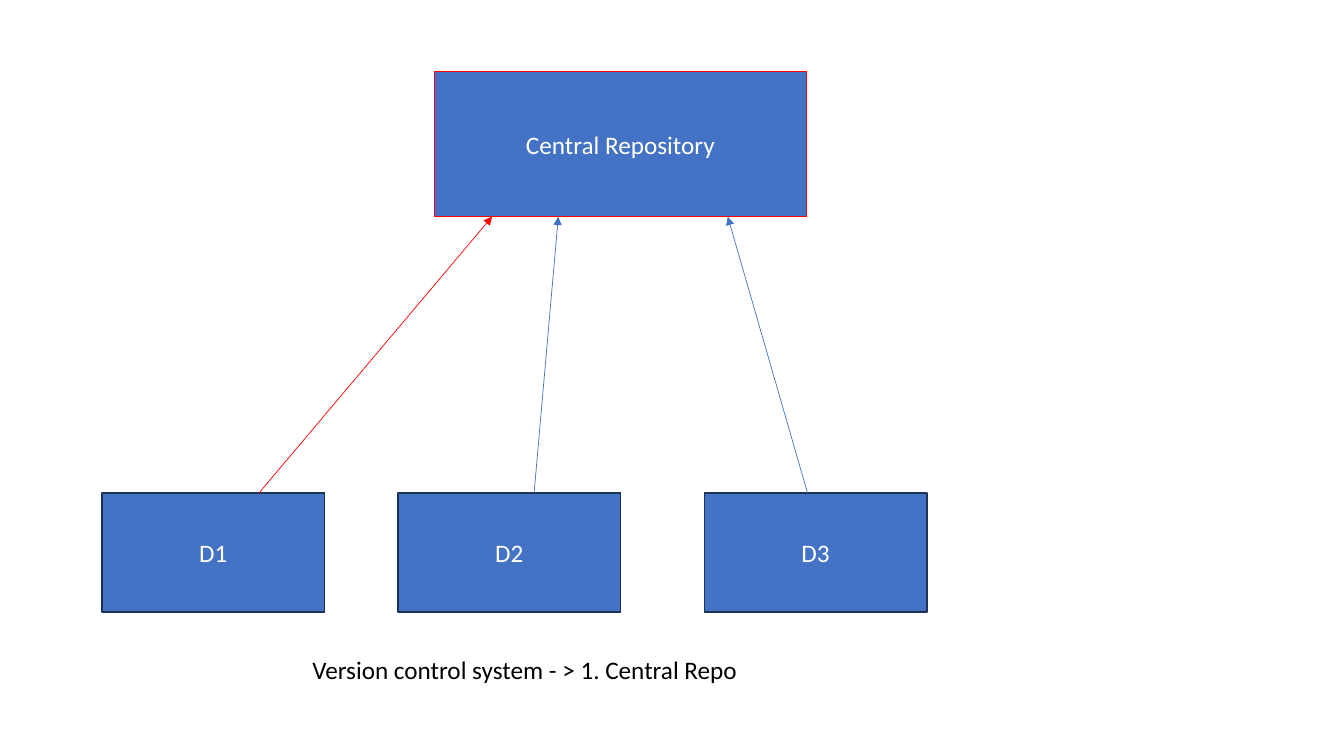
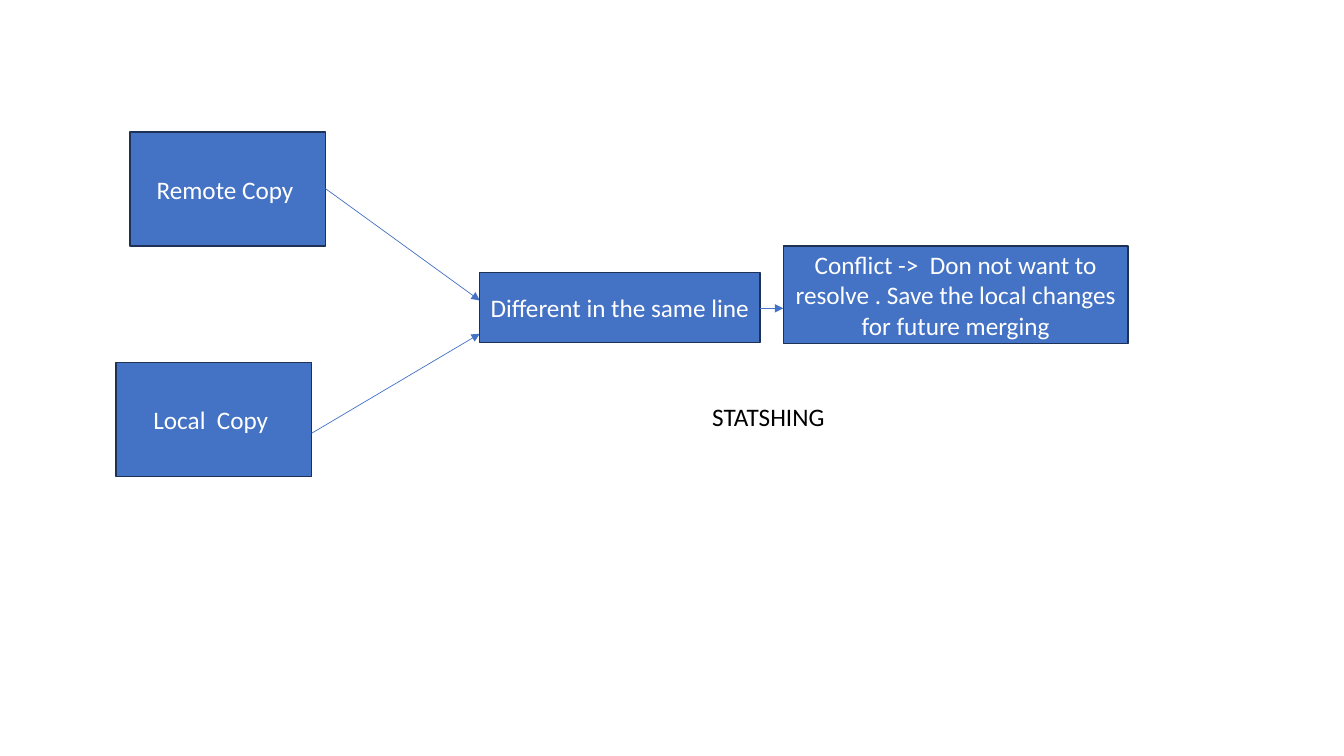
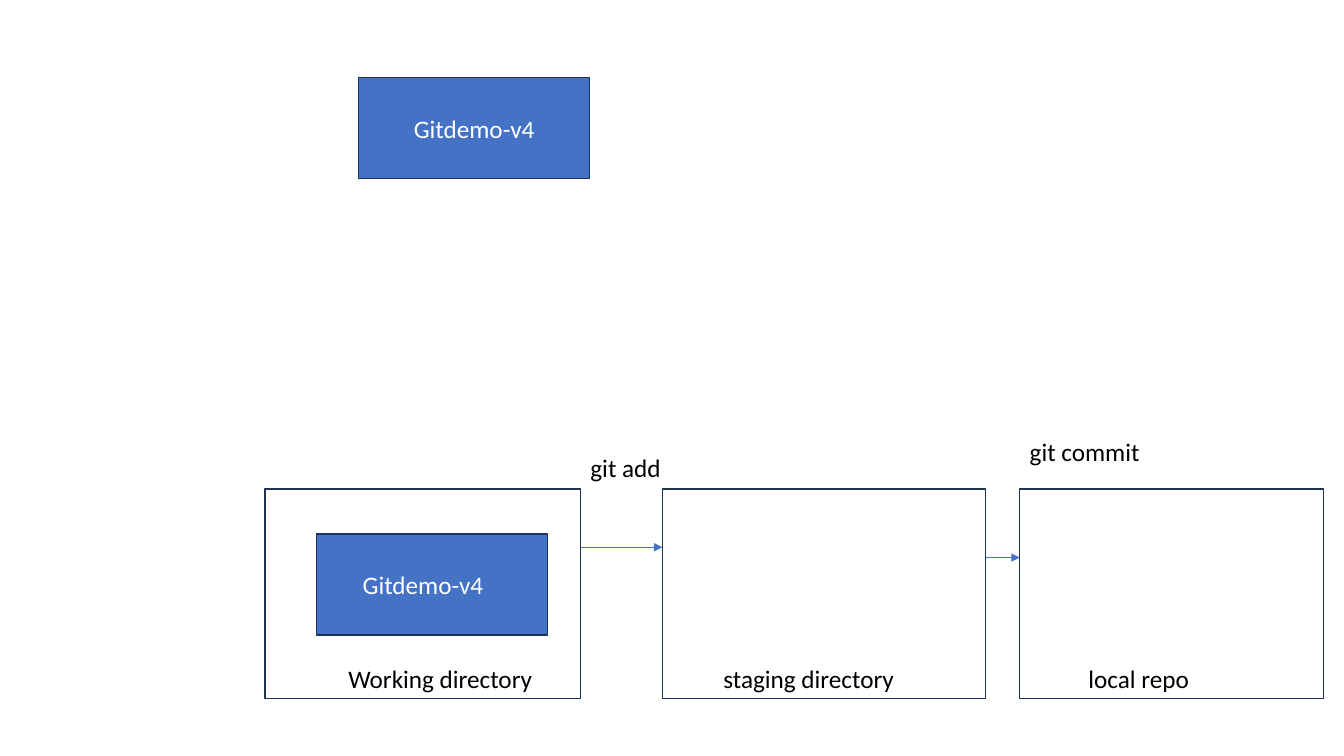
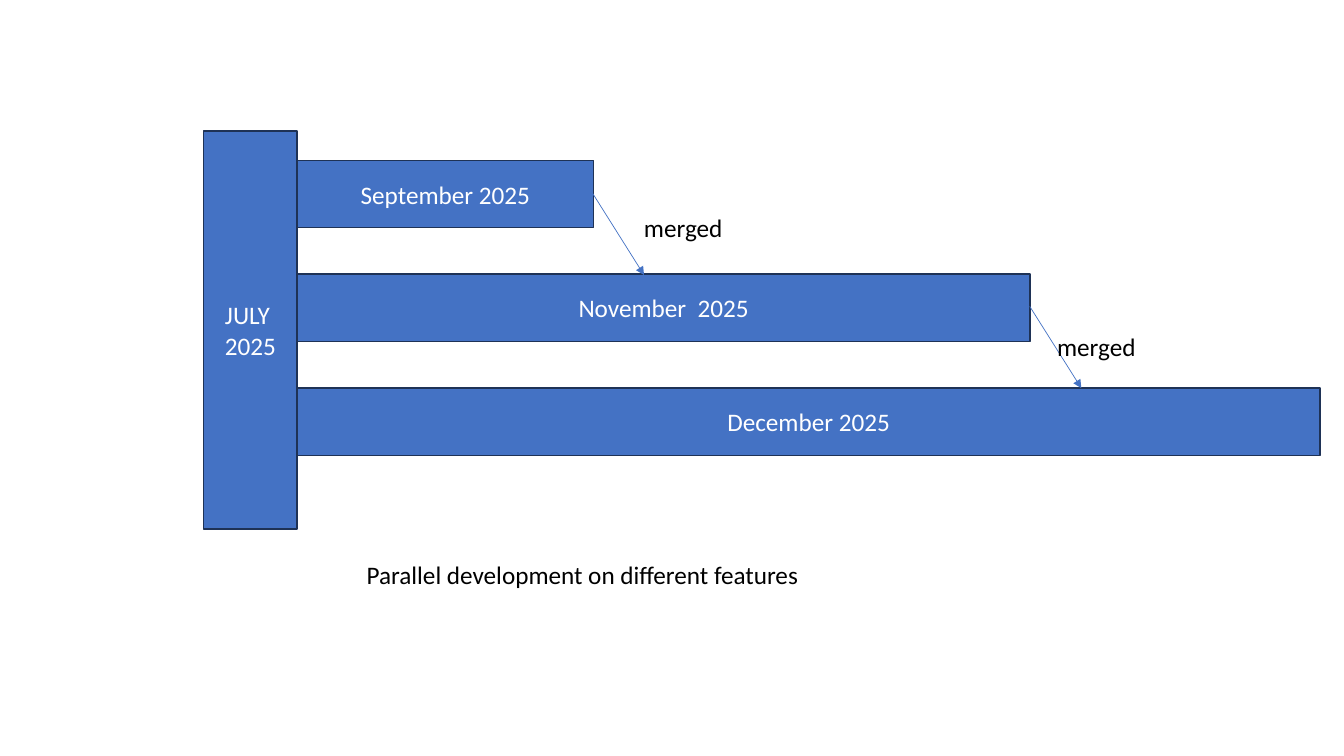
"""Build four diagrams that explain version control."""
from dataclasses import dataclass
from typing import Optional, Union

from lxml.etree import SubElement
from pptx import Presentation
from pptx.dml.color import RGBColor as Rgb
from pptx.enum.shapes import MSO_CONNECTOR as Line, MSO_SHAPE as Shape
from pptx.enum.text import MSO_ANCHOR as Anchor, PP_ALIGN as Align
from pptx.oxml.ns import qn
from pptx.slide import Slide
from pptx.text.text import TextFrame
from pptx.util import Cm, Pt


@dataclass(frozen=True)
class Theme:
    font: str = "Calibri"
    size: Pt = Pt(18)
    blue: Rgb = Rgb(0x44, 0x72, 0xC4)
    navy: Rgb = Rgb(0x1E, 0x32, 0x56)
    red: Rgb = Rgb(0xFF, 0, 0)
    white: Rgb = Rgb(0xFF, 0xFF, 0xFF)
    black: Rgb = Rgb(0, 0, 0)
    outline: Pt = Pt(1)
    arrow: Pt = Pt(0.5)


THEME = Theme()


@dataclass(frozen=True)
class Box:
    x: float
    y: float
    w: float
    h: float
    text: str = ""
    fill: Optional[Rgb] = THEME.blue
    line: Rgb = THEME.navy
    inset_right: float = 0.25


@dataclass(frozen=True)
class Label:
    x: float
    y: float
    w: float
    text: str
    h: float = 1.03


@dataclass(frozen=True)
class Arrow:
    x1: float
    y1: float
    x2: float
    y2: float
    color: Rgb = THEME.blue


Item = Union[Box, Label, Arrow]


def write(tf: TextFrame, text: str, color: Rgb, align: Align) -> None:
    tf.word_wrap = True
    tf.text = text
    for p in tf.paragraphs:
        p.alignment = align
        p.font.name, p.font.size = THEME.font, THEME.size
        p.font.color.rgb = color


def draw_box(s: Slide, box: Box) -> None:
    sp = s.shapes.add_shape(Shape.RECTANGLE, Cm(box.x), Cm(box.y), Cm(box.w), Cm(box.h))
    sp.shadow.inherit = False
    if box.fill is None:
        sp.fill.background()
    else:
        sp.fill.solid()
        sp.fill.fore_color.rgb = box.fill
    sp.line.color.rgb, sp.line.width = box.line, THEME.outline
    if box.text:
        sp.text_frame.vertical_anchor = Anchor.MIDDLE
        sp.text_frame.margin_right = Cm(box.inset_right)
        write(sp.text_frame, box.text, THEME.white, Align.CENTER)


def draw_label(s: Slide, label: Label) -> None:
    sp = s.shapes.add_textbox(Cm(label.x), Cm(label.y), Cm(label.w), Cm(label.h))
    write(sp.text_frame, label.text, THEME.black, Align.LEFT)


def draw_arrow(s: Slide, arrow: Arrow) -> None:
    ends = (Cm(v) for v in (arrow.x1, arrow.y1, arrow.x2, arrow.y2))
    cxn = s.shapes.add_connector(Line.STRAIGHT, *ends)
    cxn.line.color.rgb, cxn.line.width = arrow.color, THEME.arrow
    SubElement(cxn.line._get_or_add_ln(), qn("a:tailEnd"), type="triangle")
    SubElement(cxn._element.spPr, qn("a:effectLst"))


def central_repository() -> list[Item]:
    developers = [Box(x, 12.42, 5.61, 3, f"D{n}")
                  for n, x in enumerate((2.57, 10.03, 17.75), 1)]
    pushes = [Arrow(x1, 12.42, x2, 5.46, color) for x1, x2, color in (
        (6.53, 12.4, THEME.red), (13.46, 14.07, THEME.blue), (20.35, 18.34, THEME.blue))]
    return [
        Box(10.95, 1.8, 9.37, 3.66, "Central Repository", line=THEME.red),
        *developers,
        *pushes,
        Label(7.62, 16.36, 19.48, "Version control system - > 1. Central Repo"),
    ]


def stashing() -> list[Item]:
    difference = Box(12.09, 6.86, 7.06, 1.78, "Different in the same line")
    conflict = Box(19.74, 6.2, 8.69, 2.46, "Conflict ->  Don not want to resolve . "
                   "Save the local changes for future merging")
    return [
        Box(3.28, 3.33, 4.93, 2.87, "Remote Copy "),
        Box(2.92, 9.14, 4.93, 2.87, "Local  Copy "),
        Arrow(8.2, 4.75, difference.x, 7.57),
        Arrow(7.85, 10.92, difference.x, 8.41),
        difference,
        Arrow(difference.x + difference.w, 7.77, conflict.x, 7.77),
        conflict,
        Label(17.7, 9.98, 12.93, "STATSHING"),
    ]


def staging() -> list[Item]:
    items: list[Item] = [
        Box(9.04, 1.96, 5.82, 2.54, "Gitdemo-v4"),
        Box(7.98, 13.46, 5.82, 2.54, "Gitdemo-v4", inset_right=0.71),
    ]
    for x, w, label_x, name in ((6.68, 7.95, 8.53, "Working directory"),
                                (16.69, 8.15, 17.98, "staging directory"),
                                (25.7, 7.65, 27.18, "local repo")):
        items += [Box(x, 12.32, w, 5.28, fill=None), Label(label_x, 16.59, 5.59, name)]
    return items + [
        Label(14.63, 11.28, 3.86, "git add"),
        Arrow(14.63, 13.79, 16.69, 13.79),
        Label(25.7, 10.87, 3.86, "git commit"),
        Arrow(24.84, 14.05, 25.7, 14.05),
    ]


def parallel_development() -> list[Item]:
    releases = ((7.47, "September 2025"), (18.47, "November  2025"), (25.78, "December 2025"))
    bars = [Box(7.49, 4.04 + 2.87 * n, w, 1.7, name) for n, (w, name) in enumerate(releases)]
    return [
        *bars,
        Label(8.99, 13.97, 18.8, "Parallel development on different features"),
        Box(5.13, 3.3, 2.36, 10.03, "JULY \n2025"),
        Arrow(14.94, 4.88, 16.23, 6.93),
        Arrow(25.95, 7.72, 27.25, 9.78),
        Label(15.98, 5.23, 6.88, "merged"),
        Label(26.39, 8.23, 6.88, "merged"),
    ]


def main() -> None:
    prs = Presentation()
    prs.slide_width, prs.slide_height = Cm(33.87), Cm(19.05)
    draw = {Box: draw_box, Label: draw_label, Arrow: draw_arrow}
    for diagram in (central_repository, stashing, staging, parallel_development):
        s = prs.slides.add_slide(prs.slide_layouts[6])
        for item in diagram():
            draw[type(item)](s, item)
    prs.save("out.pptx")


if __name__ == "__main__":
    main()
